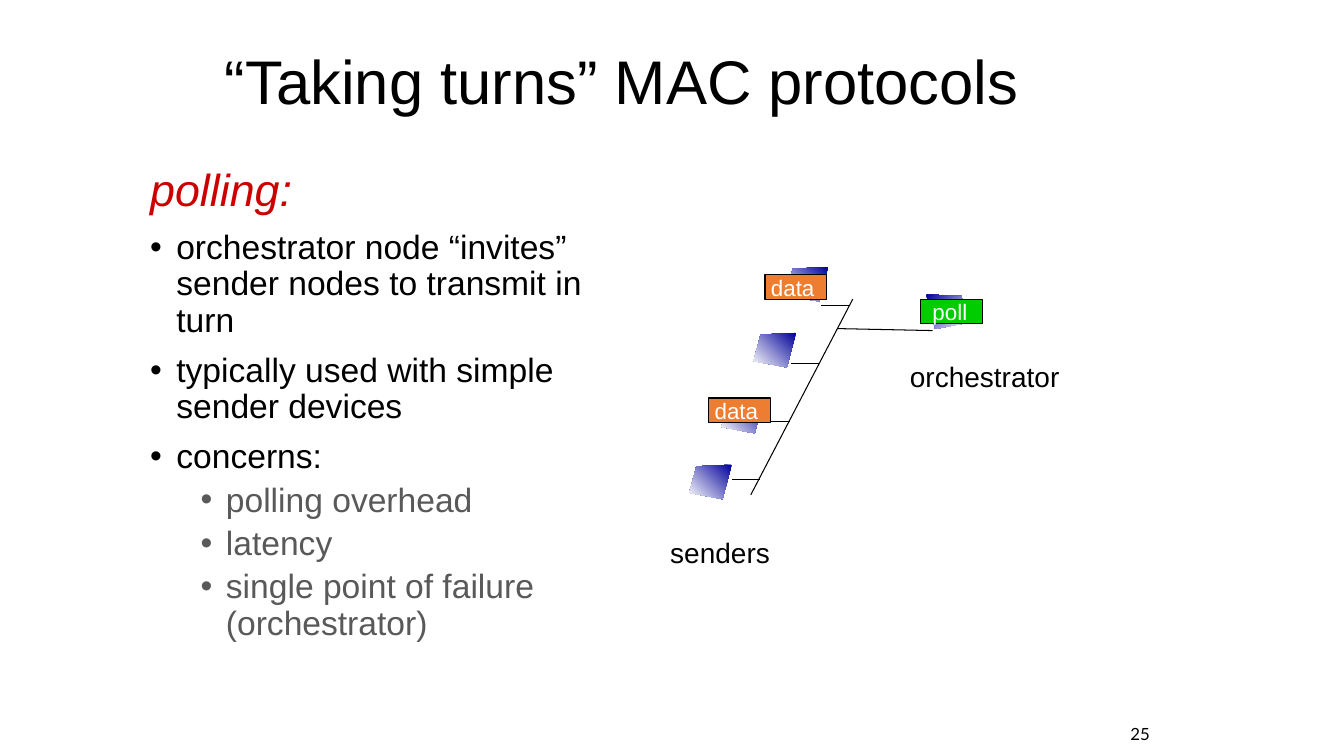
"""Build a slide on polling, a "taking turns" MAC protocol."""
from lxml import etree
from pptx import Presentation
from pptx.dml.color import RGBColor
from pptx.enum import shapes, text
from pptx.oxml import ns
from pptx.util import Cm, Pt

TITLE = "“Taking turns” MAC protocols"
HEADING = "polling:"
POINTS = [
    (0, "orchestrator node “invites” sender nodes to transmit in turn"),
    (0, "typically used with simple sender devices"),
    (0, "concerns:"),
    (1, "polling overhead"),
    (1, "latency"),
    (1, "single point of failure (orchestrator)"),
]
LEVELS = [
    dict(margin=0.66, hang=0.66, before=10, color="000000"),
    dict(margin=1.91, hang=0.64, before=5, color="595959"),
]
LABELS = [
    ("orchestrator", 22.68, 8.94, 4.32),
    ("senders", 16.64, 13.36, 3.05),
]
TAGS = [
    ("poll", 23.2, 7.55, 0.3, "00CC00"),
    ("data", 17.86, 10.03, 0.15, "ED7D31"),
    ("data", 19.28, 6.93, 0.15, "ED7D31"),
]
PAGE = "25"
SENDERS = 4
NODE_WIDTH = 1.07
NODE_OUTLINE = [(1.07, 0), (0.18, 0.04), (0, 0.71), (0.84, 0.87)]
BUS = (21.49, 7.54, 18.92, 12.47)
ORCHESTRATOR_LINK = (21.11, 8.28, 23.5, 8.33)


def rgb(value):
    return RGBColor.from_string(value)


def style(paragraph, size, color, face="Arial"):
    paragraph.font.size = Pt(size)
    paragraph.font.name = face
    paragraph.font.color.rgb = rgb(color)


def place(part, left, top, width, height):
    part.left, part.top, part.width, part.height = map(Cm, (left, top, width, height))


def set_bullet(paragraph, margin, hang, shown=True):
    props = paragraph._p.get_or_add_pPr()
    props.set("marL", str(Cm(margin)))
    props.set("indent", str(-Cm(hang)))
    if shown:
        etree.SubElement(props, ns.qn("a:buFont")).set("typeface", "Arial")
        etree.SubElement(props, ns.qn("a:buChar")).set("char", "•")
    else:
        etree.SubElement(props, ns.qn("a:buNone"))


def add_node(slide, left, top, mirrored=False):
    outline = [(NODE_WIDTH - x if mirrored else x, y) for x, y in NODE_OUTLINE]
    corners = [(Cm(left + x), Cm(top + y)) for x, y in outline]
    builder = slide.shapes.build_freeform(*corners[0])
    builder.add_line_segments(corners[1:], close=True)
    node = builder.convert_to_shape()
    node.shadow.inherit = False
    node.line.fill.background()
    node.fill.gradient()
    node.fill.gradient_angle = 315 if mirrored else 225
    for stop, color in zip(node.fill.gradient_stops, ("000099", "FFFFFF")):
        stop.color.rgb = rgb(color)


def add_wire(slide, *ends):
    wire = slide.shapes.add_connector(shapes.MSO_CONNECTOR.STRAIGHT, *map(Cm, ends))
    wire.line.color.rgb = rgb("000000")
    wire.line.width = Pt(0.75)
    etree.SubElement(wire._element.spPr, ns.qn("a:effectLst"))


def add_label(slide, words, left, top, width, height, size, face="Arial"):
    label = slide.shapes.add_textbox(*map(Cm, (left, top, width, height)))
    label.text_frame.word_wrap = False
    label.text_frame.text = words
    style(label.text_frame.paragraphs[0], size, "000000", face)
    return label


def add_tag(slide, words, left, top, inset, color):
    tag = slide.shapes.add_shape(
        shapes.MSO_SHAPE.RECTANGLE, Cm(left), Cm(top), Cm(1.55), Cm(0.61))
    tag.shadow.inherit = False
    tag.fill.solid()
    tag.fill.fore_color.rgb = rgb(color)
    tag.line.color.rgb = rgb("000000")
    tag.line.width = Pt(0.75)
    frame = tag.text_frame
    frame.word_wrap = False
    frame.margin_left = Cm(inset)
    frame.margin_right = frame.margin_top = frame.margin_bottom = 0
    frame.vertical_anchor = text.MSO_ANCHOR.MIDDLE
    frame.text = words
    frame.paragraphs[0].alignment = text.PP_ALIGN.LEFT
    style(frame.paragraphs[0], 16, "FFFFFF")


def fill_title(title):
    place(title, 5.41, 0.53, 21.59, 3.18)
    title.text_frame.text = TITLE
    title.text_frame.auto_size = text.MSO_AUTO_SIZE.NONE
    title.text_frame.vertical_anchor = text.MSO_ANCHOR.MIDDLE
    line = title.text_frame.paragraphs[0]
    line.alignment = text.PP_ALIGN.LEFT
    line.line_spacing = 0.9
    style(line, 44, "000000")


def fill_body(body):
    place(body, 3.53, 4.11, 12.24, 14.38)
    frame = body.text_frame
    frame.auto_size = text.MSO_AUTO_SIZE.NONE
    frame.text = HEADING
    heading = frame.paragraphs[0]
    heading.line_spacing = 0.9
    heading.space_before = Pt(0)
    set_bullet(heading, 0.64, 0.64, shown=False)
    style(heading, 32, "CC0000")
    heading.font.italic = True
    for level, words in POINTS:
        look = LEVELS[level]
        point = frame.add_paragraph()
        point.text = words
        point.level = level
        point.line_spacing = 0.9
        point.space_before = Pt(look["before"])
        set_bullet(point, look["margin"], look["hang"])
        style(point, 24, look["color"])


def main():
    deck = Presentation()
    deck.slide_width, deck.slide_height = Cm(33.87), Cm(19.05)
    slide = deck.slides.add_slide(deck.slide_layouts[1])
    fill_title(slide.shapes.title)
    fill_body(slide.placeholders[1])

    for i in range(SENDERS):
        add_node(slide, 17.37 + 0.81 * i, 11.71 - 1.66 * i)
    add_node(slide, 23.34, 7.42, mirrored=True)
    add_wire(slide, *BUS)
    add_wire(slide, *ORCHESTRATOR_LINK)
    for i in range(SENDERS):
        left, top = 18.44 + 0.75 * i, 12.09 - 1.465 * i
        add_wire(slide, left, top, left + 0.71, top)

    for words, left, top, width in LABELS:
        add_label(slide, words, left, top, width, 1.12, 20)
    for tag in TAGS:
        add_tag(slide, *tag)

    page = add_label(slide, PAGE, 27.71, 18.11, 1.52, 0.76, 12, "Lato")
    page.text_frame.word_wrap = True
    page.text_frame.vertical_anchor = text.MSO_ANCHOR.MIDDLE
    page.text_frame.paragraphs[0].alignment = text.PP_ALIGN.RIGHT
    deck.save("out.pptx")


if __name__ == "__main__":
    main()
